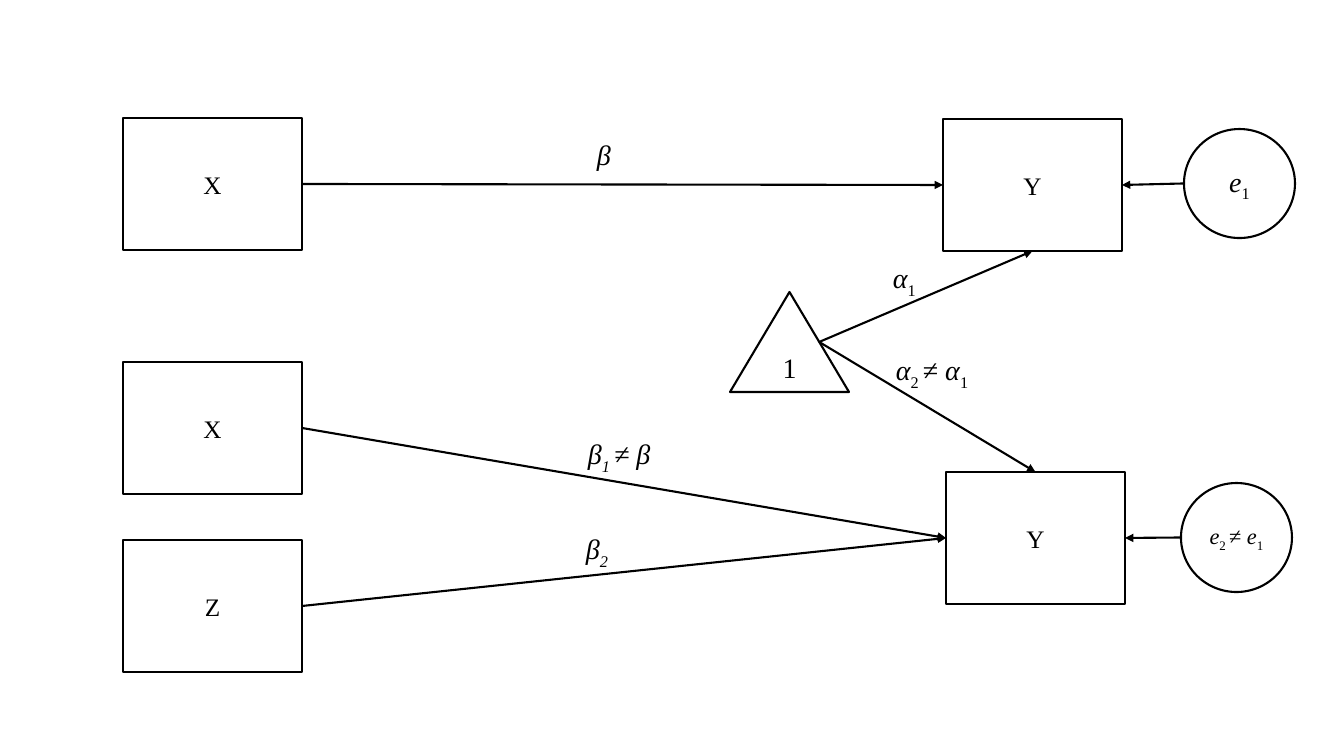
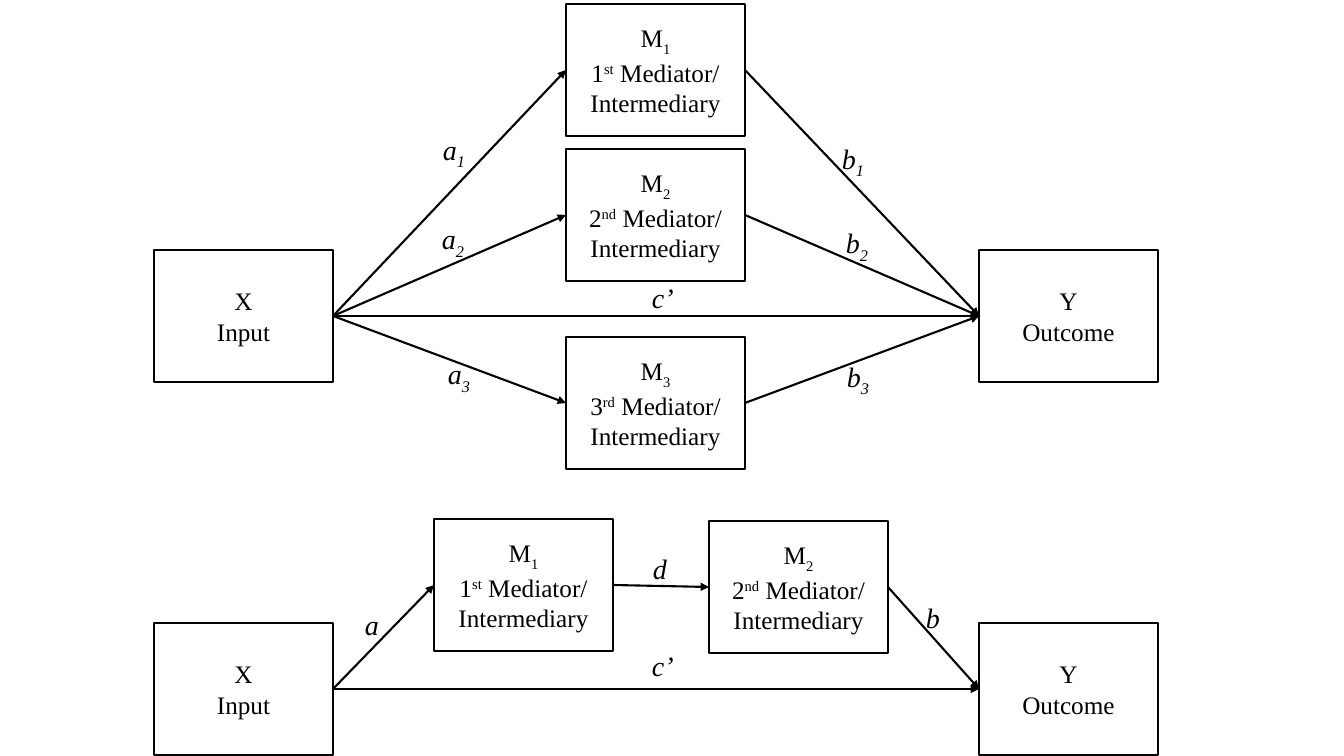
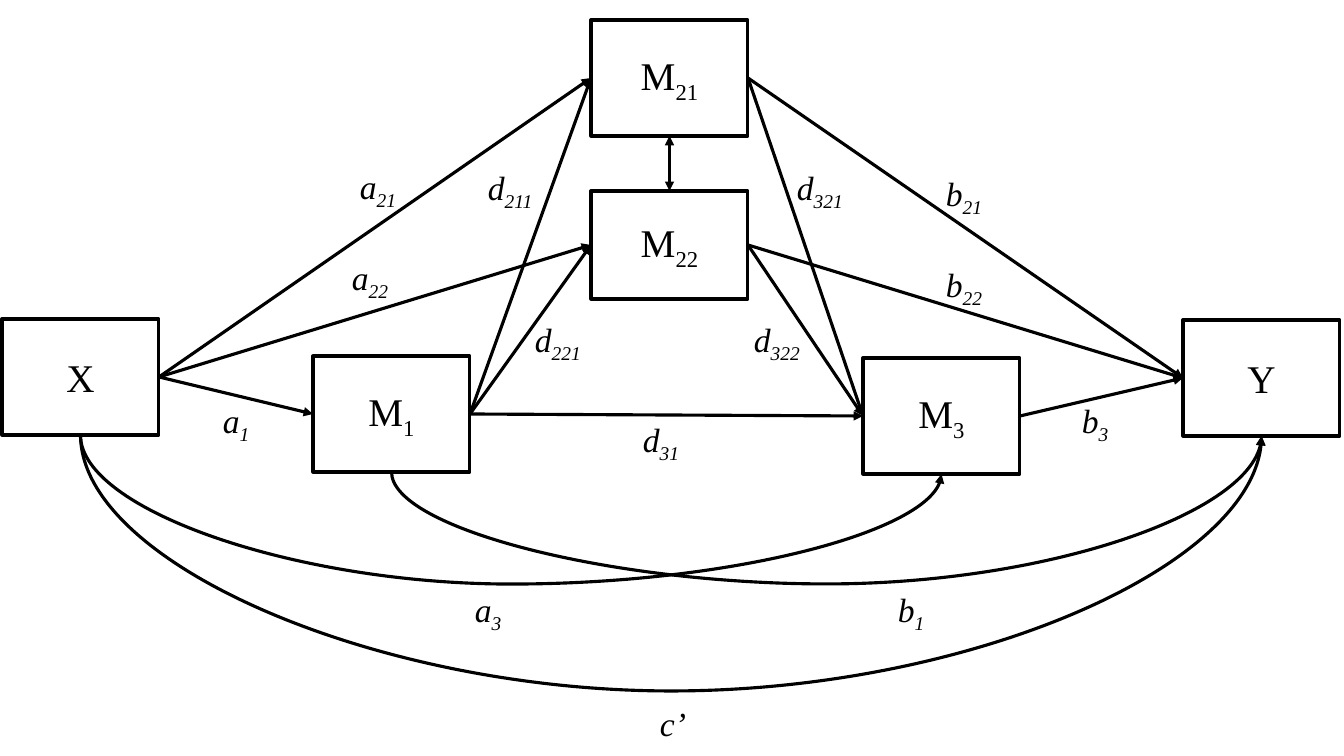
from typing import NamedTuple, Optional

from lxml import etree
from pptx import Presentation
from pptx.dml.color import RGBColor
from pptx.enum import shapes, text
from pptx.oxml.ns import qn
from pptx.util import Emu, Pt

BLACK = RGBColor(0, 0, 0)
WHITE = RGBColor(255, 255, 255)
FONT = "Times New Roman"
SCALE = 914400 / 100.8
SUB, SUPER = -25000, 30000
LEFT, RIGHT, TOP, BOTTOM = (0, 0.5), (1, 0.5), (0.5, 0), (0.5, 1)
SLOPE = (0.75, 0.5)
BOX = shapes.MSO_SHAPE.RECTANGLE
CIRCLE = shapes.MSO_SHAPE.OVAL
TRIANGLE = shapes.MSO_SHAPE.ISOSCELES_TRIANGLE


class Run(NamedTuple):
    text: str
    base: int = 0
    italic: Optional[bool] = None


def px(n):
    return Emu(round(n * SCALE))


def symbol(name, index="", italic=None):
    return [Run(name, 0, italic)] + ([Run(index, SUB, italic)] if index else [])


def unequal(name):
    return [Run(name, 0, True), Run("2 ", SUB), Run("≠"),
            Run(f" {name}", 0, True), Run("1", SUB)]


def mediator(number, suffix):
    return [symbol("M", number),
            [Run(number), Run(suffix, SUPER), Run(" Mediator/"), Run("\n"), Run("Intermediary")]]


class Diagram:
    """Draws the nodes, labels and arrows of a model on one slide."""

    def __init__(self, prs, weight, node_size, label_size, box_size):
        self.shapes = prs.slides.add_slide(prs.slide_layouts[6]).shapes
        self.weight = Pt(weight)
        self.node_size, self.label_size = node_size, label_size
        self.box_size = box_size

    def add_text(self, tf, paragraphs, size, align=None):
        for i, runs in enumerate(paragraphs):
            p = tf.paragraphs[0] if i == 0 else tf.add_paragraph()
            p.alignment = align
            for part in runs:
                if part.text == "\n":
                    p.add_line_break()
                    continue
                r = p.add_run()
                r.text = part.text
                r.font.name, r.font.size = FONT, Pt(size)
                r.font.color.rgb = BLACK
                r.font.italic = part.italic
                if part.base:
                    r.font._element.set("baseline", str(part.base))

    def node(self, x, y, paragraphs, box_size=None, kind=BOX, size=None):
        w, h = box_size or self.box_size
        sp = self.shapes.add_shape(kind, px(x), px(y), px(w), px(h))
        sp.shadow.inherit = False
        sp.fill.solid()
        sp.fill.fore_color.rgb = WHITE
        sp.line.color.rgb = BLACK
        sp.line.width = self.weight
        tf = sp.text_frame
        tf.word_wrap = True
        tf.margin_left = tf.margin_right = 0
        tf.vertical_anchor = text.MSO_ANCHOR.MIDDLE
        self.add_text(tf, paragraphs, size or self.node_size, text.PP_ALIGN.CENTER)
        return sp

    def label(self, x, y, w, runs):
        height = 50 if self.label_size > 20 else 44
        tf = self.shapes.add_textbox(px(x), px(y), px(w), px(height)).text_frame
        tf.word_wrap = True
        tf.auto_size = text.MSO_AUTO_SIZE.SHAPE_TO_FIT_TEXT
        self.add_text(tf, [runs], self.label_size)

    def labels(self, items):
        for x, y, w, name, index in items:
            self.label(x, y, w, symbol(name, index, True))

    def anchor(self, sp, side):
        return (Emu(round(sp.left + sp.width * side[0])),
                Emu(round(sp.top + sp.height * side[1])))

    def arrow(self, start, end, out=RIGHT, into=LEFT, both=False,
              kind=shapes.MSO_CONNECTOR.STRAIGHT):
        cx = self.shapes.add_connector(kind, *self.anchor(start, out), *self.anchor(end, into))
        cx.line.color.rgb = BLACK
        cx.line.width = self.weight
        ln = cx.line._get_or_add_ln()
        for tag in ("a:headEnd", "a:tailEnd") if both else ("a:tailEnd",):
            etree.SubElement(ln, qn(tag)).set("type", "triangle")
        etree.SubElement(cx._element.spPr, qn("a:effectLst"))
        return cx

    def arc(self, start, end, lowest):
        cx = self.arrow(start, end, BOTTOM, BOTTOM, kind=shapes.MSO_CONNECTOR.CURVE)
        cx.begin_connect(start, 2)
        cx.end_connect(end, 2)
        (x1, y1), (x2, y2) = self.anchor(start, BOTTOM), self.anchor(end, BOTTOM)
        w, h = abs(y2 - y1), abs(x2 - x1)
        cx.left, cx.top = Emu((x1 + x2 - w) // 2), Emu((y1 + y2 - h) // 2)
        cx.width, cx.height = Emu(w), Emu(h)
        rising = y2 < y1
        xfrm = cx._element.spPr.find(qn("a:xfrm"))
        xfrm.set("rot", str((90 if rising else 270) * 60000))
        xfrm.set("flipH", "1")
        xfrm.set("flipV", "1" if rising else "0")
        guides = cx._element.spPr.find(qn("a:prstGeom")).find(qn("a:avLst"))
        bend = round((px(lowest) - y1) / (y2 - y1) * 100000)
        etree.SubElement(guides, qn("a:gd"), name="adj1", fmla=f"val {bend}")


def moderation(prs):
    d = Diagram(prs, 1.5, 18, 20, (179, 132))
    x_top, x_low, z = [d.node(123, y, [symbol(name)])
                       for y, name in ((118, "X"), (362, "X"), (540, "Z"))]
    y_top = d.node(943, 119, [symbol("Y")])
    y_low = d.node(946, 472, [symbol("Y")])
    error_top = d.node(1184, 129, [[Run("e", 0, True), Run("1", SUB)]], (111, 109), CIRCLE, 20)
    error_low = d.node(1181, 483, [unequal("e")], (111, 109), CIRCLE, 16)
    constant = d.node(730, 292, [symbol("1")], (119, 100), TRIANGLE, 20)
    for start, end in ((x_top, y_top), (x_low, y_low), (z, y_low)):
        d.arrow(start, end)
    d.arrow(error_top, y_top, LEFT, RIGHT)
    d.arrow(error_low, y_low, LEFT, RIGHT)
    d.arrow(constant, y_top, SLOPE, BOTTOM)
    d.arrow(constant, y_low, SLOPE, TOP)
    d.labels([(587, 133, 34, "β", ""), (576, 527, 54, "β", "2")])
    d.label(578, 432, 90, symbol("β", "1 ", True) + symbol("≠ β", italic=True))
    d.label(883, 256, 54, [Run("α", 0, True), Run("1", SUB)])
    d.label(886, 348, 98, unequal("α"))


def mediation(prs):
    d = Diagram(prs, 1.5, 18, 20, (179, 132))

    def ends(y):
        source = d.node(154, y, [symbol("X"), symbol("Input")])
        outcome = d.node(979, y, [symbol("Y"), symbol("Outcome")])
        d.arrow(source, outcome)
        return source, outcome

    source, outcome = ends(250)
    for y, number, suffix in ((4, "1", "st"), (149, "2", "nd"), (337, "3", "rd")):
        middle = d.node(566, y, mediator(number, suffix))
        d.arrow(source, middle)
        d.arrow(middle, outcome)
    source, outcome = ends(623)
    first = d.node(434, 519, mediator("1", "st"))
    second = d.node(709, 521, mediator("2", "nd"))
    for start, end in ((source, first), (first, second), (second, outcome)):
        d.arrow(start, end)
    d.labels([
        (433, 128, 57, "a", "1"), (432, 217, 57, "a", "2"), (438, 352, 57, "a", "3"),
        (832, 137, 51, "b", "1"), (836, 221, 51, "b", "2"), (837, 355, 51, "b", "3"),
        (642, 276, 43, "c’", ""), (642, 644, 43, "c’", ""),
        (355, 603, 57, "a", ""), (916, 596, 51, "b", ""), (643, 547, 57, "d", ""),
    ])


def serial_mediation(prs):
    d = Diagram(prs, 2.25, 28, 24, (157, 116))
    x = d.node(2, 319, [symbol("X")])
    y = d.node(1183, 320, [symbol("Y")])
    m1 = d.node(313, 356, [symbol("M", "1")])
    m3 = d.node(863, 358, [symbol("M", "3")])
    m21 = d.node(591, 20, [symbol("M", "21")])
    m22 = d.node(591, 191, [symbol("M", "22")], (157, 108))
    for middle in (m21, m22):
        for start in (x, m1):
            d.arrow(start, middle)
        for end in (m3, y):
            d.arrow(middle, end)
    for start, end in ((x, m1), (m1, m3), (m3, y)):
        d.arrow(start, end)
    d.arrow(m21, m22, BOTTOM, TOP, both=True)
    d.arc(x, m3, 584)
    d.arc(m1, y, 584)
    d.arc(x, y, 693)
    d.labels([
        (213, 395, 60, "a", "1"), (350, 161, 66, "a", "21"), (342, 252, 66, "a", "22"),
        (465, 584, 60, "a", "3"), (888, 584, 60, "b", "1"), (936, 168, 62, "b", "21"),
        (936, 259, 72, "b", "22"), (1072, 395, 72, "b", "3"), (650, 698, 70, "c’", ""),
        (478, 162, 88, "d", "211"), (525, 314, 88, "d", "221"), (633, 414, 76, "d", "31"),
        (787, 162, 88, "d", "321"), (744, 314, 88, "d", "322"),
    ])


prs = Presentation()
prs.slide_width, prs.slide_height = px(1344), px(756)
for build in (moderation, mediation, serial_mediation):
    build(prs)
prs.save("out.pptx")
